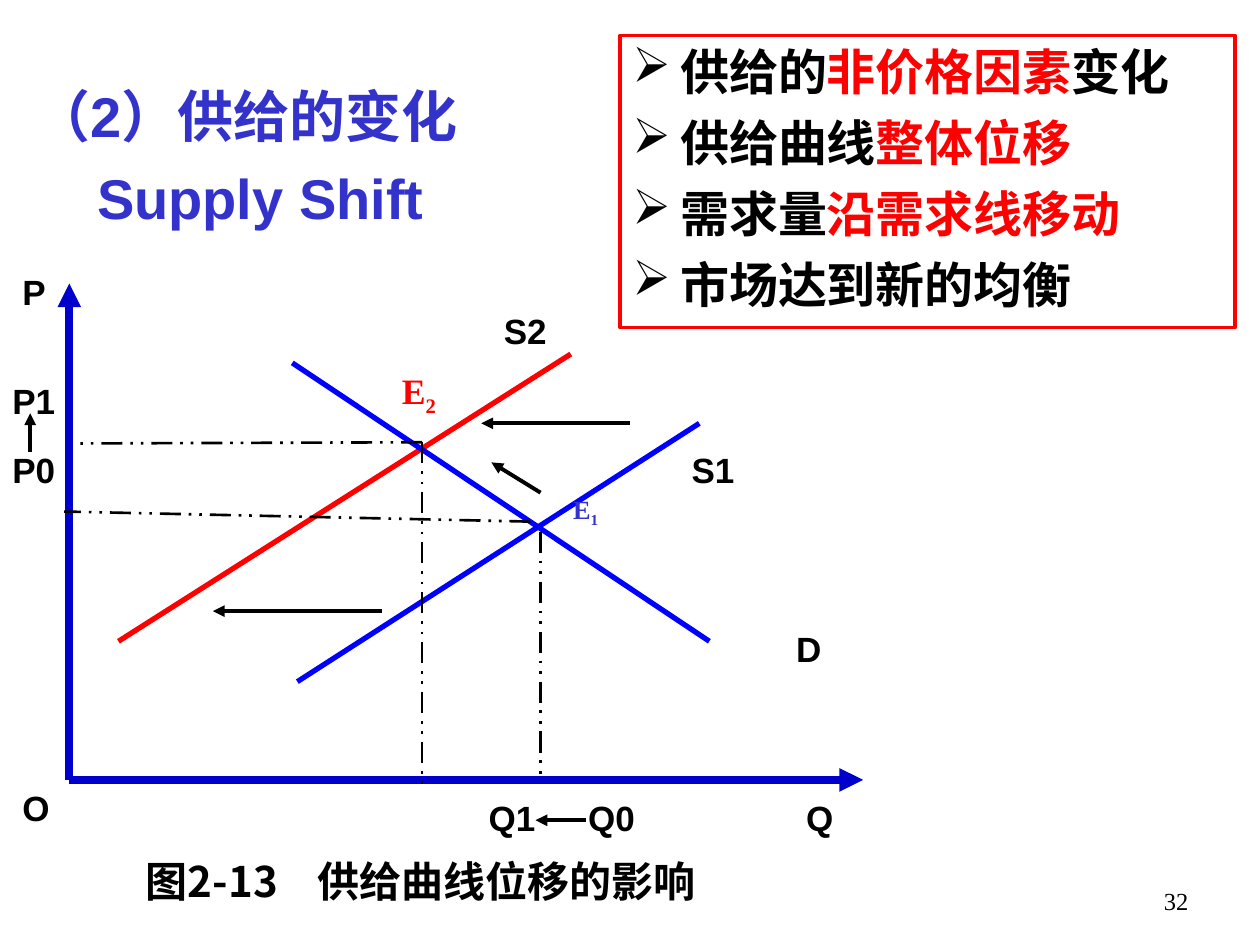
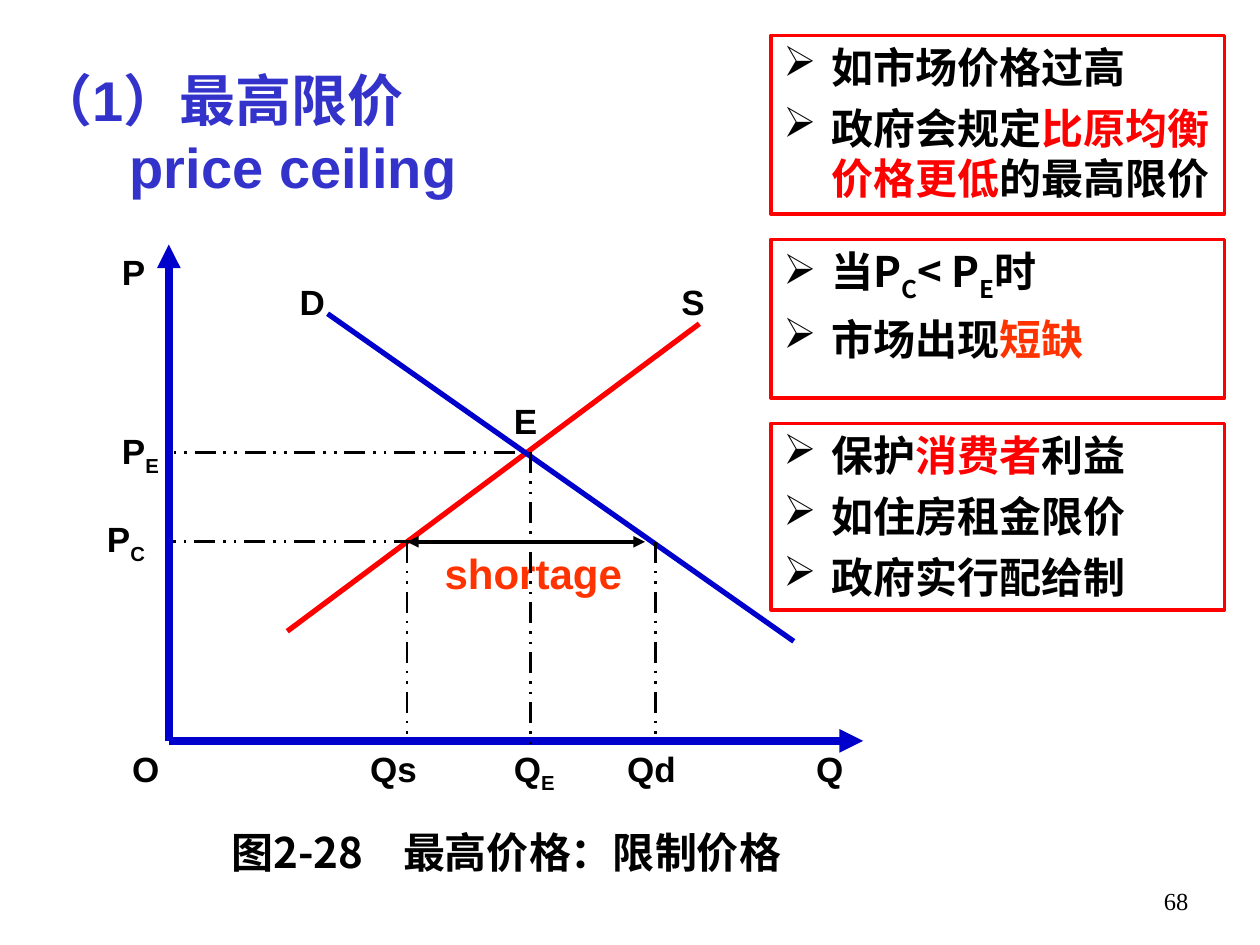
from lxml import etree
from pptx import Presentation
from pptx import util as u
from pptx.dml.color import RGBColor
from pptx.enum import dml, shapes, text
from pptx.oxml import parse_xml
from pptx.oxml.ns import nsdecls, qn

BLACK = RGBColor(0x00, 0x00, 0x00)
RED = RGBColor(0xFF, 0x00, 0x00)
ORANGE = RGBColor(0xFF, 0x33, 0x00)
AXIS_BLUE = RGBColor(0x00, 0x00, 0xCC)
CURVE_BLUE = RGBColor(0x00, 0x00, 0xFF)
TITLE_BLUE = RGBColor(0x33, 0x33, 0xCC)
SANS, CHINESE, SERIF = "Arial", "Noto Sans CJK SC", "Times New Roman"
SUB = "subscript"
BULLET = (
    f'<a:buClr {nsdecls("a")}><a:srgbClr val="000000"/></a:buClr>',
    f'<a:buChar {nsdecls("a")} char="➢"/>',
)
CAPTION_TAB = (
    f'<a:tabLst {nsdecls("a")}><a:tab pos="{u.Inches(1.36)}" algn="l"/></a:tabLst>',
)


def write(box, lines, size, face=SANS, color=BLACK, bold=True, gap=0, marks=(), hang=0):
    frame = box.text_frame
    frame.word_wrap = True
    frame.auto_size = text.MSO_AUTO_SIZE.NONE
    frame.vertical_anchor = text.MSO_ANCHOR.TOP
    for index, line in enumerate(lines):
        para = frame.add_paragraph() if index else frame.paragraphs[0]
        props = para._p.get_or_add_pPr()
        if hang:
            props.set("marL", str(u.Inches(hang)))
            props.set("indent", str(-u.Inches(hang)))
        for mark in marks:
            props.append(parse_xml(mark))
        para.alignment = text.PP_ALIGN.LEFT
        para.space_before = u.Pt(gap if index else 0)
        para.font.name, para.font.size, para.font.bold = face, u.Pt(size), bold
        para.font.color.rgb = color
        for piece in line:
            words, style = (piece, None) if isinstance(piece, str) else piece
            span = para.add_run()
            span.text = words
            if style == SUB:
                span._r.get_or_add_rPr().set("baseline", "-25000")
            elif style:
                span.font.color.rgb = style
    return frame


def rule(page, start, end, color=BLACK, width=2.25, dash=None, ends=()):
    line = page.shapes.add_connector(
        shapes.MSO_CONNECTOR.STRAIGHT, *(u.Inches(n) for n in start + end))
    line.line.color.rgb = color
    line.line.width = u.Pt(width)
    if dash:
        line.line.dash_style = dash
    for end_name in ends:
        etree.SubElement(line.line._get_or_add_ln(), qn(f"a:{end_name}"), type="triangle")
    etree.SubElement(line._element.spPr, qn("a:effectLst"))


supply_shift = {
    "title": ["（2）供给的变化", "Supply Shift"],
    "title_at": (0.17, 0.6, 4.2, 1.28), "title_gap": 8, "title_indent": 0.5,
    "origin": (0.55, 6.19), "price_top": 2.25,
    "curves": [((0.94, 5.09), (4.53, 2.81), RED),
               ((2.32, 2.88), (5.63, 5.09), CURVE_BLUE),
               ((2.36, 5.41), (5.55, 3.36), CURVE_BLUE)],
    "guides": [((4.29, 4.22), (4.29, 6.19)), ((3.35, 3.51), (3.35, 6.27)),
               ((4.21, 4.14), (0.51, 4.06)), ((3.35, 3.51), (0.59, 3.52))],
    "arrows": [((4.29, 3.91), (3.9, 3.67)), ((3.03, 4.85), (1.69, 4.85)),
               ((5, 3.36), (3.82, 3.36)), ((0.24, 3.59), (0.24, 3.28)),
               ((4.65, 6.51), (4.25, 6.51))],
    "arrow_ends": ["tailEnd"],
    "labels": [(0.08, 2.1, ["P"]), (0, 2.96, ["P1"]), (0, 3.51, ["P0"]),
               (3.9, 2.41, ["S2"]), (5.39, 3.51, ["S1"]), (6.22, 4.93, ["D"]),
               (0.08, 6.19, ["O"]), (3.78, 6.27, ["Q1"]), (4.57, 6.27, ["Q0"]),
               (6.3, 6.27, ["Q"])],
    "points": [(4.45, 3.89, "1", 15, TITLE_BLUE, 0.8), (3.09, 2.88, "2", 20.4, RED, 0.9)],
    "notes_size": 28, "notes_gap": 7,
    "notes": [((4.92, 0.28, 4.88, 2.32), [
        ["供给的", ("非价格因素", RED), "变化"],
        ["供给曲线", ("整体位移", RED)],
        ["需求量", ("沿需求线移动", RED)],
        ["市场达到新的均衡"]])],
    "caption": "图2-13\t供给曲线位移的影响", "caption_at": (1.06, 6.74), "number": "32",
}

price_ceiling = {
    "title": ["（1）最高限价", "price ceiling"],
    "title_at": (0.19, 0.47, 4.2, 1.17), "title_gap": 0, "title_indent": 0.74,
    "origin": (1.34, 5.88), "price_top": 1.94,
    "curves": [((2.28, 5.01), (5.55, 2.57), RED), ((2.6, 2.49), (6.3, 5.09), AXIS_BLUE)],
    "guides": [((3.23, 4.3), (3.23, 5.88)), ((4.88, 4.3), (1.34, 4.3)),
               ((4.09, 3.59), (1.34, 3.59)), ((5.2, 4.3), (5.2, 5.88)),
               ((4.21, 3.59), (4.21, 5.96))],
    "arrows": [((3.23, 4.3), (5.12, 4.3))],
    "arrow_ends": ["headEnd", "tailEnd"],
    "labels": [(0.87, 1.94, ["P"]), (0.87, 3.36, ["P", ("E", SUB)]),
               (0.75, 4.06, ["P", ("C", SUB)]), (2.28, 2.18, ["D"]),
               (5.31, 2.18, ["S"]), (3.98, 3.12, ["E"]), (0.95, 5.88, ["O"]),
               (2.84, 5.88, ["Qs"]), (3.98, 5.88, ["Q", ("E", SUB)]),
               (4.88, 5.88, ["Qd"]), (6.38, 5.88, ["Q"])],
    "points": [],
    "notes_size": 24, "notes_gap": 6,
    "notes": [
        ((6.12, 0.28, 3.6, 1.42), [
            ["如市场价格过高"],
            ["政府会规定", ("比原均衡价格更低", RED), "的最高限价"]]),
        ((6.12, 1.9, 3.6, 1.26), [
            ["当P", ("C", SUB), "< P", ("E", SUB), "时"],
            ["市场出现", ("短缺", ORANGE)]]),
        ((6.12, 3.36, 3.6, 1.48), [
            ["保护", ("消费者", RED), "利益"],
            ["如住房租金限价"],
            ["政府实行配给制"]])],
    "caption": "图2-28\t最高价格：限制价格", "caption_at": (1.74, 6.51), "number": "68",
}

deck = Presentation()
deck.slide_width, deck.slide_height = u.Inches(10), u.Inches(7.5)

for content in (supply_shift, price_ceiling):
    page = deck.slides.add_slide(deck.slide_layouts[5])

    title = page.shapes.title
    title.left, title.top, title.width, title.height = (
        u.Inches(n) for n in content["title_at"])
    frame = write(title, [[line] for line in content["title"]], 32,
                  color=TITLE_BLUE, gap=content["title_gap"])
    frame.paragraphs[1]._p.get_or_add_pPr().set(
        "marL", str(u.Inches(content["title_indent"])))

    origin = content["origin"]
    for axis_end in ((6.85, origin[1]), (origin[0], content["price_top"])):
        rule(page, origin, axis_end, AXIS_BLUE, 4.5, ends=["tailEnd"])
    for start, end, color in content["curves"]:
        rule(page, start, end, color, 3)

    for left, top, label in content["labels"]:
        box = page.shapes.add_textbox(*(u.Inches(n) for n in (left, top, 0.63, 0.44)))
        write(box, [label], 20)
    for left, top, digit, size, color, spacing in content["points"]:
        box = page.shapes.add_textbox(*(u.Inches(n) for n in (left, top, 0.75, 0.45)))
        frame = write(box, [["E", (digit, SUB)]], size, SERIF, color)
        frame.paragraphs[0].line_spacing = spacing
    if content is price_ceiling:
        box = page.shapes.add_textbox(*(u.Inches(n) for n in (3.43, 4.3, 1.65, 0.5)))
        write(box, [["shortage"]], 24, color=ORANGE)

    for start, end in content["guides"]:
        rule(page, start, end, width=1.5, dash=dml.MSO_LINE.DASH_DOT_DOT)
    for start, end in content["arrows"]:
        rule(page, start, end, ends=content["arrow_ends"])

    for place, lines in content["notes"]:
        box = page.shapes.add_shape(
            shapes.MSO_SHAPE.RECTANGLE, *(u.Inches(n) for n in place))
        box.shadow.inherit = False
        box.fill.background()
        box.line.color.rgb = RED
        box.line.width = u.Pt(2)
        write(box, lines, content["notes_size"], CHINESE,
              gap=content["notes_gap"], marks=BULLET, hang=0.38)

    box = page.shapes.add_textbox(
        *(u.Inches(n) for n in content["caption_at"] + (5.12, 0.5)))
    write(box, [[content["caption"]]], 24, CHINESE, marks=CAPTION_TAB)
    box = page.shapes.add_textbox(*(u.Inches(n) for n in (7.2, 6.98, 2.33, 0.52)))
    frame = write(box, [[content["number"]]], 14, SERIF, bold=False)
    frame.paragraphs[0].alignment = text.PP_ALIGN.RIGHT

deck.save("out.pptx")
